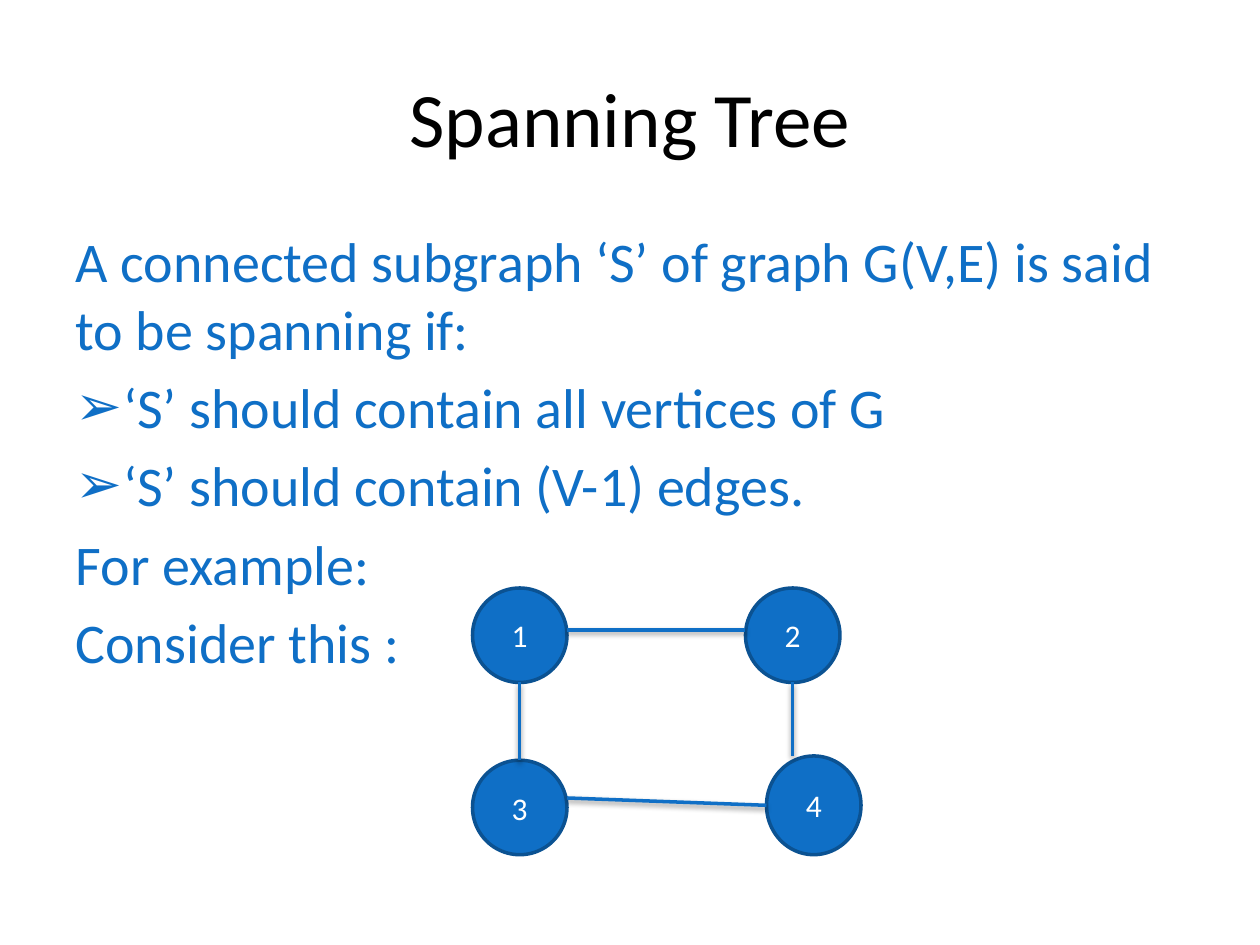
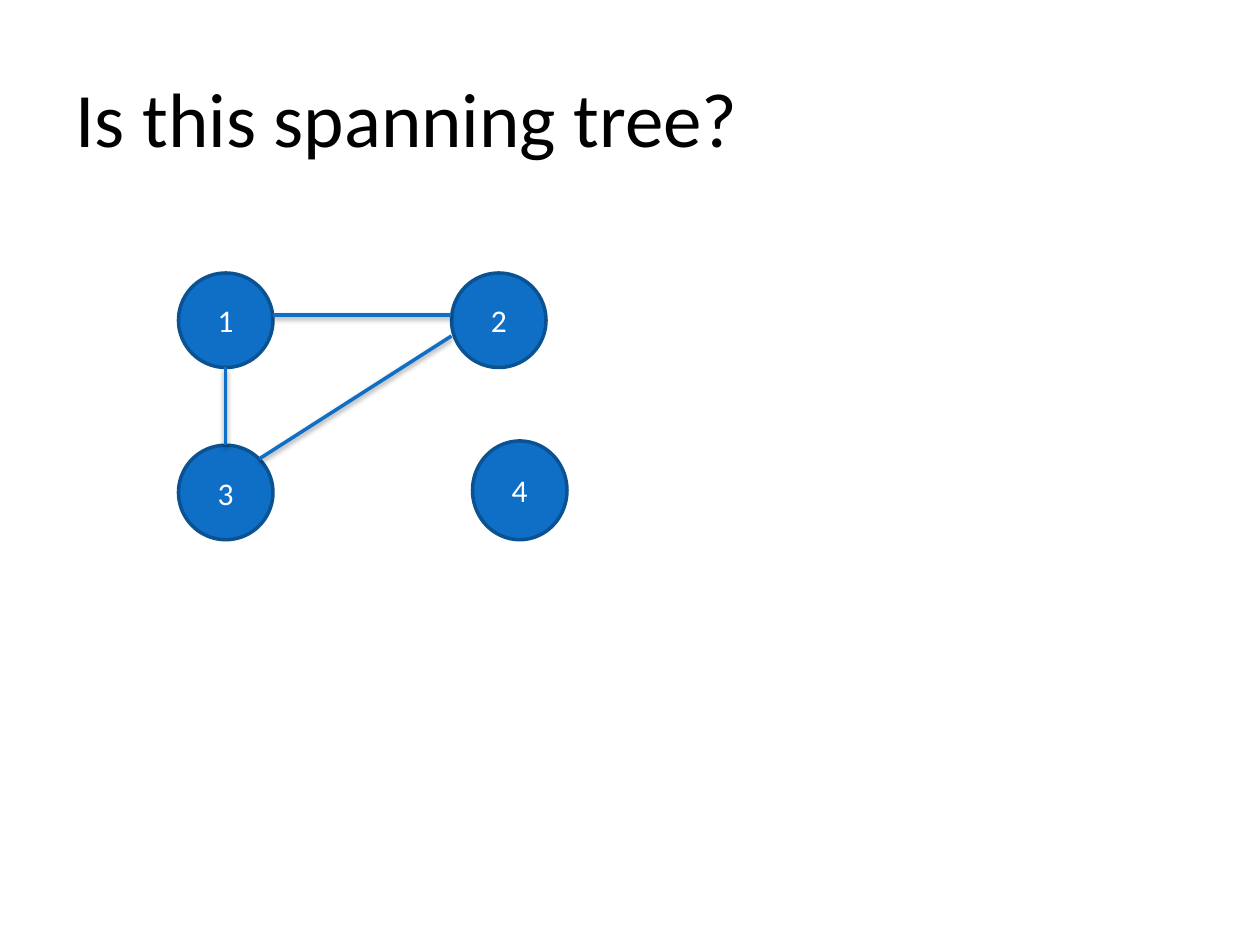
from lxml import etree
from pptx import Presentation
from pptx import util as u
from pptx.dml.color import RGBColor
from pptx.enum import shapes, text
from pptx.oxml import ns

FONT = "Calibri"
BLUE, DARK_BLUE = "0F6FC6", "0B5292"
BLACK, WHITE = "000000", "FFFFFF"
CELL = u.Inches(1) // 12
NODE = 9

NODES = {
    "1": (0, 0, NODE),
    "2": (26, 0, NODE),
    "3": (0, 16.4, NODE),
    "4": (28, 16, 9.4),
}
EDGES = {
    "1-2": (9, 4, 26, 4),
    "1-3": (4.5, 9, 4.5, 16.4),
    "3-4": (9, 20, 28, 20.7),
    "2-4": (30.5, 9, 30.5, 16),
    "2-3": (26, 6, 7.7, 17.7),
}


def grid(*cells):
    return [round(c * CELL) for c in cells]


def color(value):
    return RGBColor.from_string(value)


def child(parent, tag, **attrs):
    return etree.SubElement(parent, ns.qn(tag), attrs)


def write(p, content, size=18, fill=BLACK, align=text.PP_ALIGN.LEFT):
    p.alignment = align
    r = p.add_run()
    r.text = content
    r.font.name = FONT
    r.font.size = u.Pt(size)
    r.font.color.rgb = color(fill)


def place(sp, left, top, width, height):
    sp.left, sp.top, sp.width, sp.height = grid(left, top, width, height)


def set_bullet(p, bullet):
    indent = u.Inches(0.38) if bullet else 0
    pPr = p._p.get_or_add_pPr()
    pPr.set("marL", str(indent))
    pPr.set("indent", str(-indent))
    if bullet:
        child(pPr, "a:buFont", typeface="Arial")
        child(pPr, "a:buChar", char=bullet)
    else:
        child(pPr, "a:buNone")


def add_title(s, content, align):
    sp = s.shapes.title
    place(sp, 6, 3.6, 108, 15)
    sp.text_frame.vertical_anchor = text.MSO_ANCHOR.MIDDLE
    write(sp.text_frame.paragraphs[0], content, size=44, align=align)


def add_body(s, lines):
    sp = s.placeholders[1]
    place(sp, 6, 21, 108, 59.4)
    tf = sp.text_frame
    for i, (bullet, content) in enumerate(lines):
        p = tf.add_paragraph() if i else tf.paragraphs[0]
        set_bullet(p, bullet)
        write(p, content, size=32, fill=BLUE)


def add_node(s, label, left, top, height):
    sp = s.shapes.add_shape(shapes.MSO_SHAPE.OVAL, *grid(left, top, NODE, height))
    sp.shadow.inherit = False
    sp.fill.solid()
    sp.fill.fore_color.rgb = color(BLUE)
    sp.line.color.rgb = color(DARK_BLUE)
    sp.line.width = u.Pt(2)
    tf = sp.text_frame
    tf.vertical_anchor = text.MSO_ANCHOR.MIDDLE
    write(tf.paragraphs[0], label, fill=WHITE, align=text.PP_ALIGN.CENTER)


def add_edge(s, x1, y1, x2, y2):
    line = s.shapes.add_connector(shapes.MSO_CONNECTOR.STRAIGHT, *grid(x1, y1, x2, y2))
    line.line.color.rgb = color(BLUE)
    line.line.width = u.Pt(2)
    effects = child(line._element.spPr, "a:effectLst")
    shadow = child(effects, "a:outerShdw", blurRad=str(u.Pt(3.1)),
                   dist=str(u.Pt(1.6)), dir="5400000", rotWithShape="0")
    child(child(shadow, "a:srgbClr", val=BLACK), "a:alpha", val="38000")


def add_graph(s, left, top, edges):
    for label, (x, y, height) in NODES.items():
        add_node(s, label, left + x, top + y, height)
    for edge in edges:
        x1, y1, x2, y2 = EDGES[edge]
        add_edge(s, left + x1, top + y1, left + x2, top + y2)


def definition_slide(prs):
    s = prs.slides.add_slide(prs.slide_layouts.get_by_name("Title and Content"))
    add_title(s, "Spanning Tree", text.PP_ALIGN.CENTER)
    add_body(s, [
        (None, "A connected subgraph ‘S’ of graph G(V,E) is said to be spanning if:"),
        ("➢", "‘S’ should contain all vertices of G"),
        ("➢", "‘S’ should contain (V-1) edges."),
        (None, "For example:"),
        (None, "Consider this :"),
    ])
    add_graph(s, 45, 56, ["1-2", "1-3", "3-4", "2-4"])


def question_slide(prs):
    s = prs.slides.add_slide(prs.slide_layouts.get_by_name("Title Only"))
    add_title(s, "Is this spanning tree?", text.PP_ALIGN.LEFT)
    add_graph(s, 17, 26, ["1-2", "1-3", "2-3"])


def main():
    prs = Presentation()
    prs.slide_width, prs.slide_height = grid(120, 90)
    definition_slide(prs)
    question_slide(prs)
    prs.save("out.pptx")


if __name__ == "__main__":
    main()
